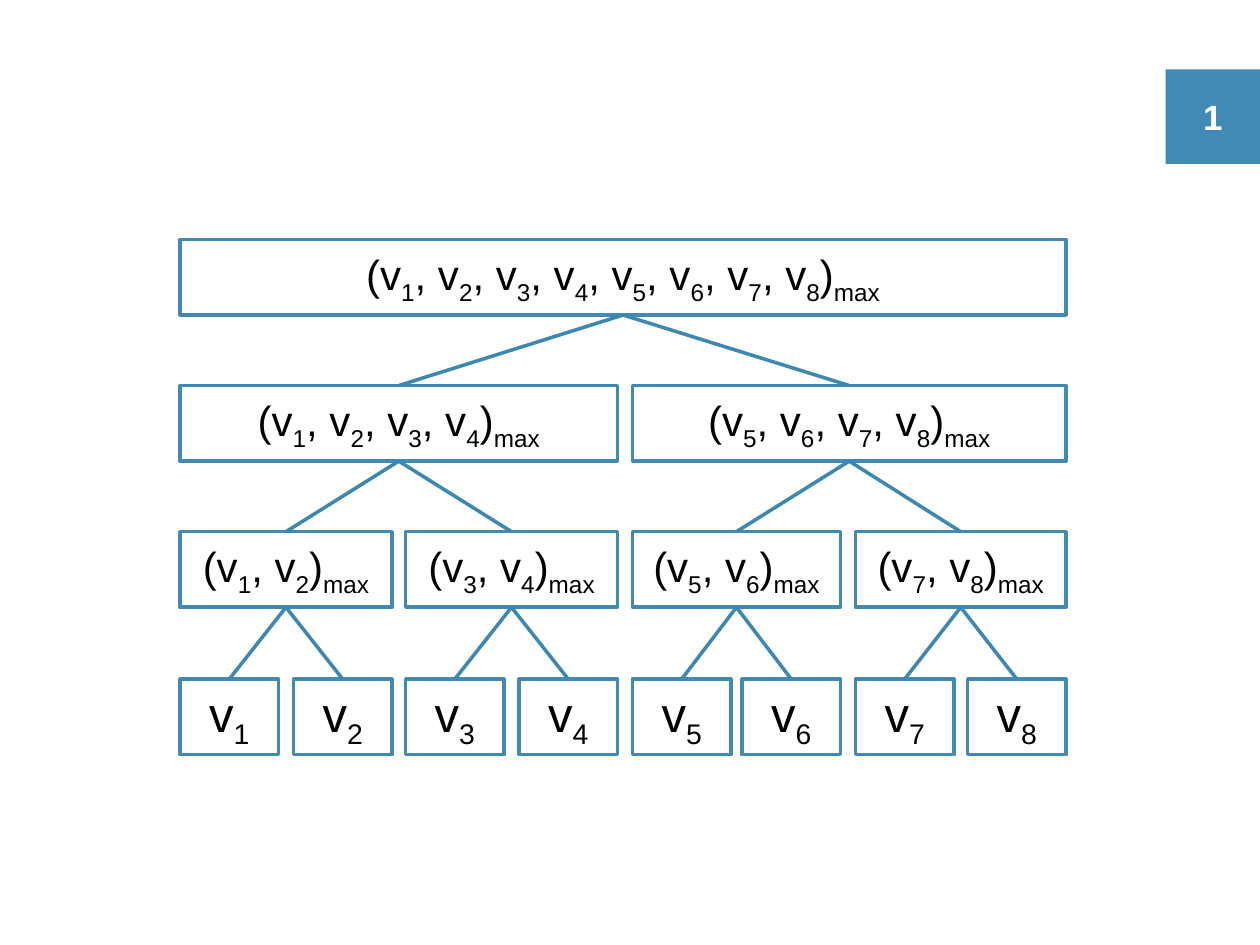
from dataclasses import dataclass

from lxml.etree import SubElement
from pptx import Presentation
from pptx.dml.color import RGBColor
from pptx.enum.shapes import MSO_CONNECTOR, MSO_SHAPE
from pptx.enum.text import MSO_ANCHOR, PP_ALIGN
from pptx.oxml.ns import qn
from pptx.util import Inches, Pt


@dataclass(frozen=True)
class Theme:
    font: str = "Arial"
    accent: RGBColor = RGBColor(0x41, 0x8A, 0xB3)
    branch: RGBColor = RGBColor(0x3D, 0x88, 0xB2)
    white: RGBColor = RGBColor(0xFF, 0xFF, 0xFF)
    black: RGBColor = RGBColor(0x00, 0x00, 0x00)
    line: Pt = Pt(2)
    number_size: Pt = Pt(20)
    node_size: Pt = Pt(24)
    leaf_size: Pt = Pt(28)


theme = Theme()


def add_box(left, top, width, height, fill, size, color):
    """Add a flat rectangle; return it with its centred paragraph."""
    box = page.shapes.add_shape(MSO_SHAPE.RECTANGLE, Inches(left), Inches(top),
                                Inches(width), Inches(height))
    box.shadow.inherit = False
    box.fill.solid()
    box.fill.fore_color.rgb = fill
    box.line.color.rgb = theme.accent
    box.line.width = theme.line
    box.text_frame.vertical_anchor = MSO_ANCHOR.MIDDLE
    para = box.text_frame.paragraphs[0]
    para.alignment = PP_ALIGN.CENTER
    para.font.name = theme.font
    para.font.size = size
    para.font.color.rgb = color
    return box, para


def add_span(para, text, subscript=False):
    span = para.add_run()
    span.text = text
    if subscript:
        span.font._element.set("baseline", "-25000")


deck = Presentation()
deck.slide_width, deck.slide_height = Inches(10), Inches(7.5)
page = deck.slides.add_slide(deck.slide_layouts[6])

# Page number
badge, para = add_box(9.25, 0.55, 0.75, 0.75, theme.accent, theme.number_size, theme.white)
badge.line.fill.background()
para.font.bold = True
add_span(para, "1")

# Tree nodes: each one spans the leaves it covers
leaf_lefts = [1.43, 2.33, 3.22, 4.12, 5.02, 5.89, 6.79, 7.68]
leaf_width, box_height = 0.78, 0.6
level_tops = [1.9, 3.06, 4.22, 5.39]
levels = []
for depth, top in enumerate(level_tops):
    count = len(leaf_lefts) // 2 ** depth
    is_leaf = count == 1
    size = theme.leaf_size if is_leaf else theme.node_size
    level = []
    for first in range(0, len(leaf_lefts), count):
        left = leaf_lefts[first]
        width = leaf_lefts[first + count - 1] + leaf_width - left
        box, para = add_box(left, top, width, box_height, theme.white, size, theme.black)
        for index in range(first, first + count):
            prefix = "" if is_leaf else "(" if index == first else ", "
            add_span(para, prefix + "v")
            add_span(para, str(index + 1), subscript=True)
        if not is_leaf:
            add_span(para, ")")
            add_span(para, "max", subscript=True)
        level.append(box)
    levels.append(level)

# Branches from the bottom of each parent to the top of its two children
BOTTOM, TOP = 2, 0
for parents, children in zip(levels, levels[1:]):
    for index, child in enumerate(children):
        branch = page.shapes.add_connector(MSO_CONNECTOR.STRAIGHT, 0, 0, 0, 0)
        branch.begin_connect(parents[index // 2], BOTTOM)
        branch.end_connect(child, TOP)
        branch.line.color.rgb = theme.branch
        branch.line.width = theme.line
        SubElement(branch._element.spPr, qn("a:effectLst"))

deck.save("out.pptx")
